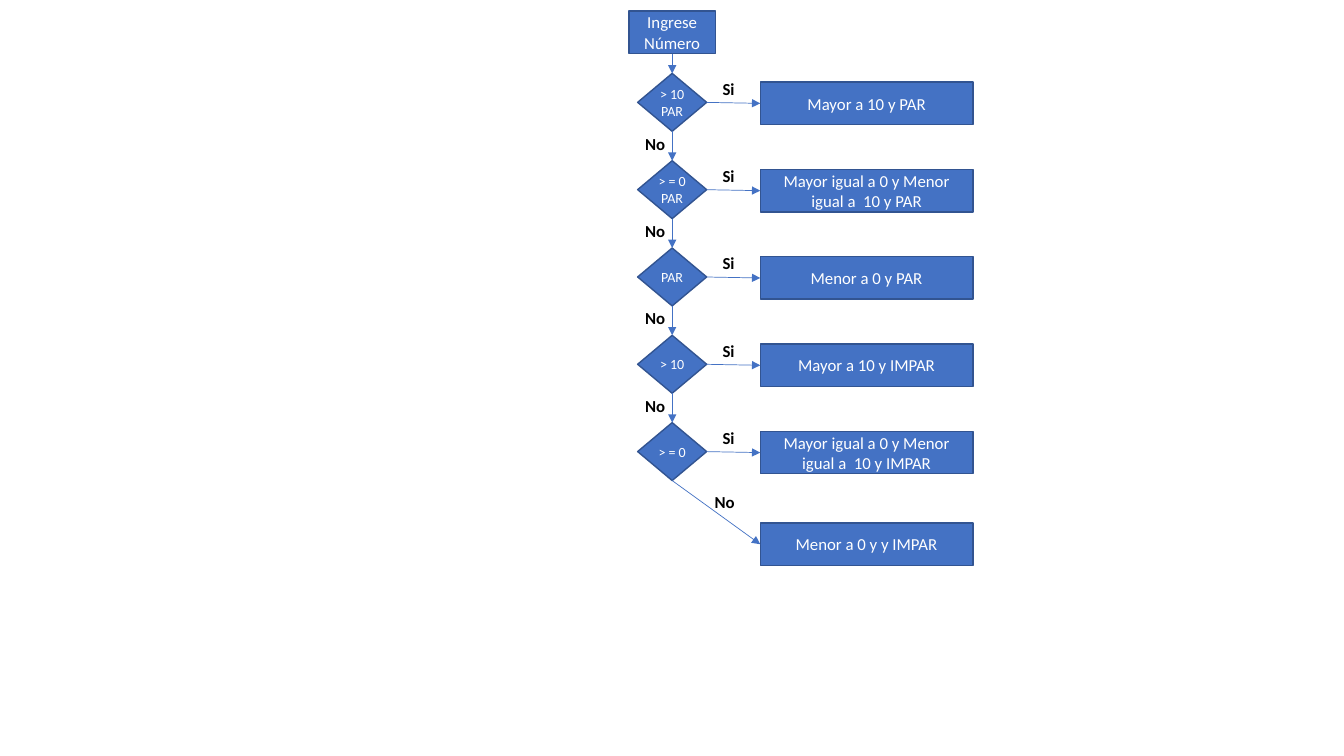
from lxml import etree
from pptx import Presentation
from pptx.dml.color import RGBColor
from pptx.enum.shapes import MSO_CONNECTOR, MSO_SHAPE
from pptx.enum.text import MSO_ANCHOR, MSO_AUTO_SIZE, PP_ALIGN
from pptx.oxml.ns import qn
from pptx.util import Cm, Pt

RECT = MSO_SHAPE.RECTANGLE
DIAMOND = MSO_SHAPE.DIAMOND
LINE = MSO_CONNECTOR.STRAIGHT
MIDDLE = MSO_ANCHOR.MIDDLE
CENTER = PP_ALIGN.CENTER
LEFT = PP_ALIGN.LEFT
GROW = MSO_AUTO_SIZE.SHAPE_TO_FIT_TEXT
TOP, WEST, BOTTOM, EAST = range(4)

BLUE, EDGE, WHITE, BLACK = "4472C4", "325491", "FFFFFF", "000000"
BOX_W, BOX_H = 5.36, 1.07
TEST_W, TEST_H = 1.74, 1.46
PITCH = 2.2
STEPS = [
    ("> 10\nPAR", "Mayor a 10 y PAR"),
    ("> = 0\nPAR", "Mayor igual a 0 y Menor igual a  10 y PAR"),
    ("PAR", "Menor a 0 y PAR"),
    ("> 10", "Mayor a 10 y IMPAR"),
    ("> = 0", "Mayor igual a 0 y Menor igual a  10 y IMPAR"),
]
LAST = "Menor a 0 y y IMPAR"


def color(code):
    """Turn a hex string into a colour."""
    return RGBColor.from_string(code)


def write(frame, text, size, code, align, bold=False):
    """Fill a text frame and format its runs."""
    frame.text = text
    for para in frame.paragraphs:
        para.alignment = align
        for run in para.runs:
            run.font.name = "Calibri"
            run.font.size = Pt(size)
            run.font.bold = bold
            run.font.color.rgb = color(code)


def block(slide, kind, x, y, w, h, text, size=12):
    """Add a filled shape with centred text."""
    shape = slide.shapes.add_shape(kind, Cm(x), Cm(y), Cm(w), Cm(h))
    shape.shadow.inherit = False
    shape.fill.solid()
    shape.fill.fore_color.rgb = color(BLUE)
    shape.line.color.rgb = color(EDGE)
    shape.line.width = Pt(1)
    frame = shape.text_frame
    frame.word_wrap = True
    frame.vertical_anchor = MIDDLE
    write(frame, text, size, WHITE, CENTER)
    return shape


def test(slide, x, y, text):
    """Add a decision diamond without text margins."""
    shape = block(slide, DIAMOND, x, y, TEST_W, TEST_H, text, 10)
    frame = shape.text_frame
    frame.margin_left = frame.margin_right = 0
    frame.margin_top = frame.margin_bottom = 0
    return shape


def label(slide, x, y, w, text):
    """Add a bold answer beside an arrow."""
    box = slide.shapes.add_textbox(Cm(x), Cm(y), Cm(w), Cm(0.76))
    frame = box.text_frame
    write(frame, text, 12, BLACK, LEFT, True)
    frame.word_wrap = False
    frame.auto_size = GROW


def arrow(slide, start, out, end, into):
    """Join two shapes with an arrow."""
    link = slide.shapes.add_connector(LINE, 0, 0, 0, 0)
    link.begin_connect(start, out)
    link.end_connect(end, into)
    link.line.color.rgb = color(BLUE)
    link.line.width = Pt(0.5)
    props = link._element.spPr
    tip = etree.SubElement(props.find(qn("a:ln")), qn("a:tailEnd"))
    tip.set("type", "triangle")
    etree.SubElement(props, qn("a:effectLst"))


def step(slide, x, y, ask, reply):
    """Place a diamond, its yes arrow and its result; return the diamond."""
    node = test(slide, x, y, ask)
    box = block(slide, RECT, x + 3.09, y + 0.22, BOX_W, BOX_H, reply)
    arrow(slide, node, EAST, box, WEST)
    label(slide, x + 1.89, y, 0.81, "Si")
    return node


def flow(slide, x, y):
    """Place the whole chart with its first diamond at x, y."""
    prior = block(slide, RECT, x - 0.22, y - 1.57, 2.18, BOX_H,
                  "Ingrese Número")
    for row, (ask, reply) in enumerate(STEPS):
        top = y + row * PITCH
        node = step(slide, x, top, ask, reply)
        arrow(slide, prior, BOTTOM, node, TOP)
        if row:
            label(slide, x - 0.06, top - 0.81, 1.02, "No")
        prior = node
    box = block(slide, RECT, x + 3.09, top + 2.53, BOX_W, BOX_H, LAST)
    arrow(slide, prior, BOTTOM, box, WEST)
    label(slide, x + 1.69, top + 1.62, 1.02, "No")


def main():
    """Build and save the slide."""
    deck = Presentation()
    deck.slide_width, deck.slide_height = Cm(33.87), Cm(19.05)
    slide = deck.slides.add_slide(deck.slide_layouts[6])
    flow(slide, 16.07, 1.85)
    deck.save("out.pptx")


if __name__ == "__main__":
    main()
